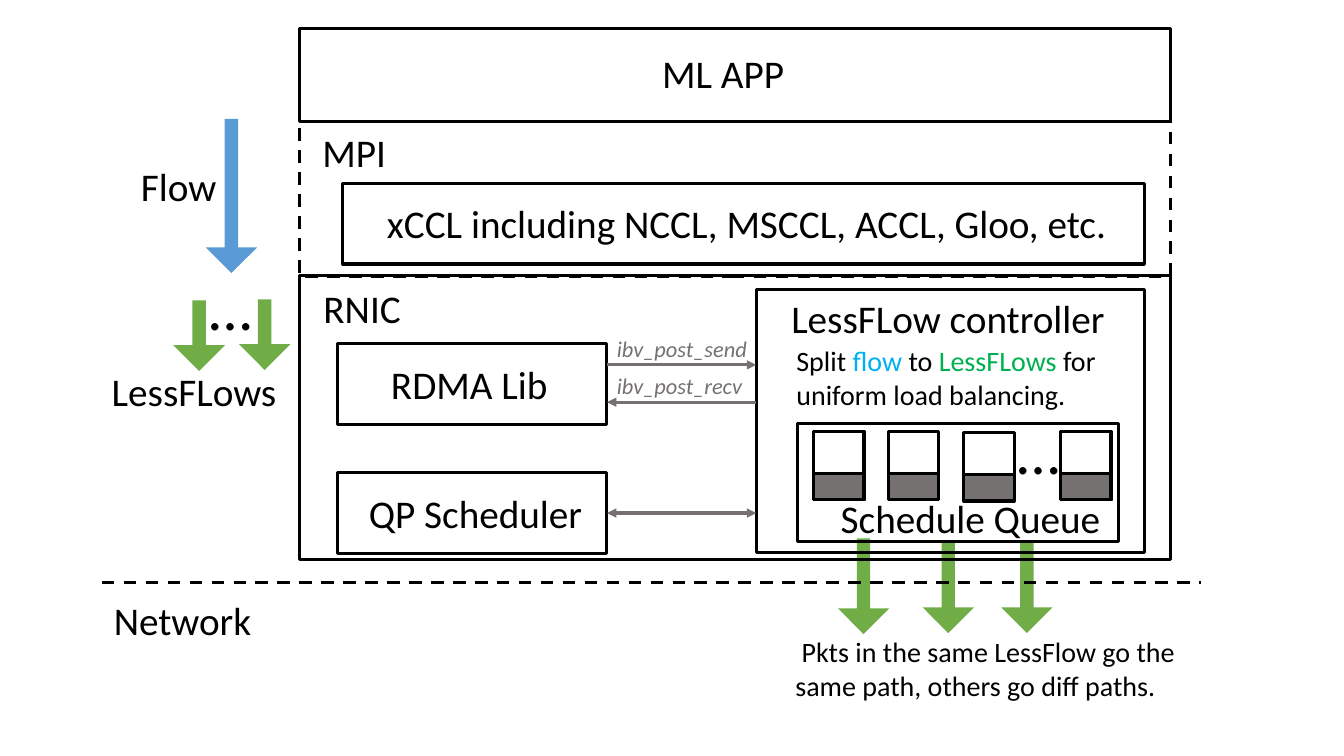
import lxml.etree
import pptx
import pptx.dml.color
import pptx.enum.dml
import pptx.enum.shapes
import pptx.oxml.ns
import pptx.util
from pptx.util import Inches

COLORS = {
    "black": "000000", "gray": "767171", "blue": "5B9BD5", "green": "70AD47",
    "flow": "00B0F0", "lessflow": "00B050",
}
SHAPES = pptx.enum.shapes.MSO_SHAPE
DASH = pptx.enum.dml.MSO_LINE.DASH

presentation = pptx.Presentation()
presentation.slide_width = Inches(13.33)
presentation.slide_height = Inches(7.5)
slide = presentation.slides.add_slide(presentation.slide_layouts[6])


def rgb(name):
    return pptx.dml.color.RGBColor.from_string(COLORS[name])


def add_box(kind, left, top, width, height, fill=None, outline=True):
    shape = slide.shapes.add_shape(
        kind, Inches(left), Inches(top), Inches(width), Inches(height))
    shape.shadow.inherit = False
    if fill:
        shape.fill.solid()
        shape.fill.fore_color.rgb = rgb(fill)
    else:
        shape.fill.background()
    if outline:
        shape.line.color.rgb = rgb("black")
        shape.line.width = pptx.util.Pt(2.25)
    else:
        shape.line.fill.background()
    return shape


# Block arrows: flow, LessFlows, and packets leaving the schedule queue
for left, top, height, color in [
    (2.04, 1.18, 1.53, "blue"),
    (1.72, 2.98, 0.7, "green"),
    (2.37, 2.97, 0.7, "green"),
    (8.31, 5.34, 0.95, "green"),
    (9.15, 5.37, 0.91, "green"),
    (9.93, 5.37, 0.91, "green"),
]:
    arrow = add_box(SHAPES.DOWN_ARROW, left, top, 0.51, height, color, outline=False)
    arrow.adjustments[0] = 0.26
    arrow.adjustments[1] = 0.5

# Stack layers and their components
boxes = {}
for name, left, top, width, height in [
    ("ML APP", 2.97, 0.28, 8.64, 0.93),
    ("MPI", 2.97, 1.21, 8.64, 1.53),
    ("xCCL", 3.4, 1.82, 7.95, 0.8),
    ("RNIC", 2.97, 2.73, 8.64, 2.82),
    ("RDMA Lib", 3.35, 3.41, 2.67, 0.8),
    ("QP Scheduler", 3.35, 4.69, 2.67, 0.8),
    ("LessFLow controller", 7.5, 2.87, 3.85, 2.61),
    ("Schedule Queue", 7.91, 4.2, 3.18, 1.17),
]:
    boxes[name] = add_box(SHAPES.RECTANGLE, left, top, width, height)
boxes["MPI"].line.dash_style = DASH

# Partly filled queues
for left, top in [(8.07, 4.28), (8.81, 4.28), (9.56, 4.29), (10.52, 4.28)]:
    add_box(SHAPES.RECTANGLE, left, top, 0.5, 0.68)
    add_box(SHAPES.RECTANGLE, left, top + 0.42, 0.5, 0.26, "gray")

# Network border and the calls between components
connectors = {}
for name, start, end, y, color, arrowheads in [
    ("network", 1.01, 11.91, 5.78, "black", []),
    ("send", 6.02, 7.5, 3.62, "gray", ["a:tailEnd"]),
    ("receive", 7.5, 6.02, 3.99, "gray", ["a:tailEnd"]),
    ("schedule", 7.5, 6.02, 5.09, "gray", ["a:headEnd", "a:tailEnd"]),
]:
    connector = slide.shapes.add_connector(
        pptx.enum.shapes.MSO_CONNECTOR.STRAIGHT,
        Inches(start), Inches(y), Inches(end), Inches(y))
    connector.line.color.rgb = rgb(color)
    connector.line.width = pptx.util.Pt(2.25)
    properties = connector._element.spPr
    line = properties.find(pptx.oxml.ns.qn("a:ln"))
    for arrowhead in arrowheads:
        lxml.etree.SubElement(line, pptx.oxml.ns.qn(arrowhead), type="triangle")
    lxml.etree.SubElement(properties, pptx.oxml.ns.qn("a:effectLst"))
    connectors[name] = connector
connectors["network"].line.dash_style = DASH
connectors["schedule"].end_connect(boxes["QP Scheduler"], 3)

# Labels: each is a list of (text, color) runs
split_note = [
    ("Split ", "black"), ("flow ", "flow"), ("to ", "black"),
    ("LessFLows ", "lessflow"), ("for uniform load balancing.", "black"),
]
packet_note = " Pkts in the same LessFlow go the same path, others go diff paths."
for runs, left, top, width, height, size in [
    ([("ML APP", "black")], 6.47, 0.44, 1.43, 0.57, 28),
    ([("MPI", "black")], 3.1, 1.22, 0.84, 0.57, 28),
    ([("xCCL including NCCL, MSCCL, ACCL, Gloo, etc.", "black")],
     3.74, 1.93, 7.5, 0.57, 28),
    ([("RNIC", "black")], 3.11, 2.77, 0.98, 0.57, 28),
    ([("Network", "black")], 1.03, 5.87, 1.58, 0.57, 28),
    ([("…", "black")], 1.98, 2.62, 0.63, 0.84, 44),
    ([("Flow", "black")], 1.3, 1.56, 0.96, 0.57, 28),
    ([("LessFLows", "black")], 1.01, 3.59, 1.85, 0.57, 28),
    ([("QP Scheduler", "black")], 3.56, 4.81, 2.34, 0.57, 28),
    ([("RDMA Lib", "black")], 3.78, 3.53, 1.77, 0.57, 28),
    ([("LessFLow controller", "black")], 7.75, 2.87, 3.34, 0.57, 28),
    ([("Schedule Queue", "black")], 8.24, 4.85, 2.81, 0.57, 28),
    ([("…", "black")], 9.99, 4.05, 0.63, 0.84, 44),
    ([("ibv_post_send", "gray")], 6.02, 3.28, 1.53, 0.37, 16),
    ([("ibv_post_recv", "gray")], 6.02, 3.64, 1.46, 0.37, 16),
    (split_note, 7.8, 3.36, 3.46, 1.11, 20),
    ([(packet_note, "black")], 7.79, 6.25, 4.4, 0.77, 20),
]:
    label = slide.shapes.add_textbox(
        Inches(left), Inches(top), Inches(width), Inches(height))
    label.text_frame.word_wrap = size == 20
    paragraph = label.text_frame.paragraphs[0]
    paragraph.font.name = "Calibri"
    paragraph.font.size = pptx.util.Pt(size)
    paragraph.font.italic = size == 16
    for text, color in runs:
        run = paragraph.add_run()
        run.text = text
        run.font.color.rgb = rgb(color)

presentation.save("out.pptx")
